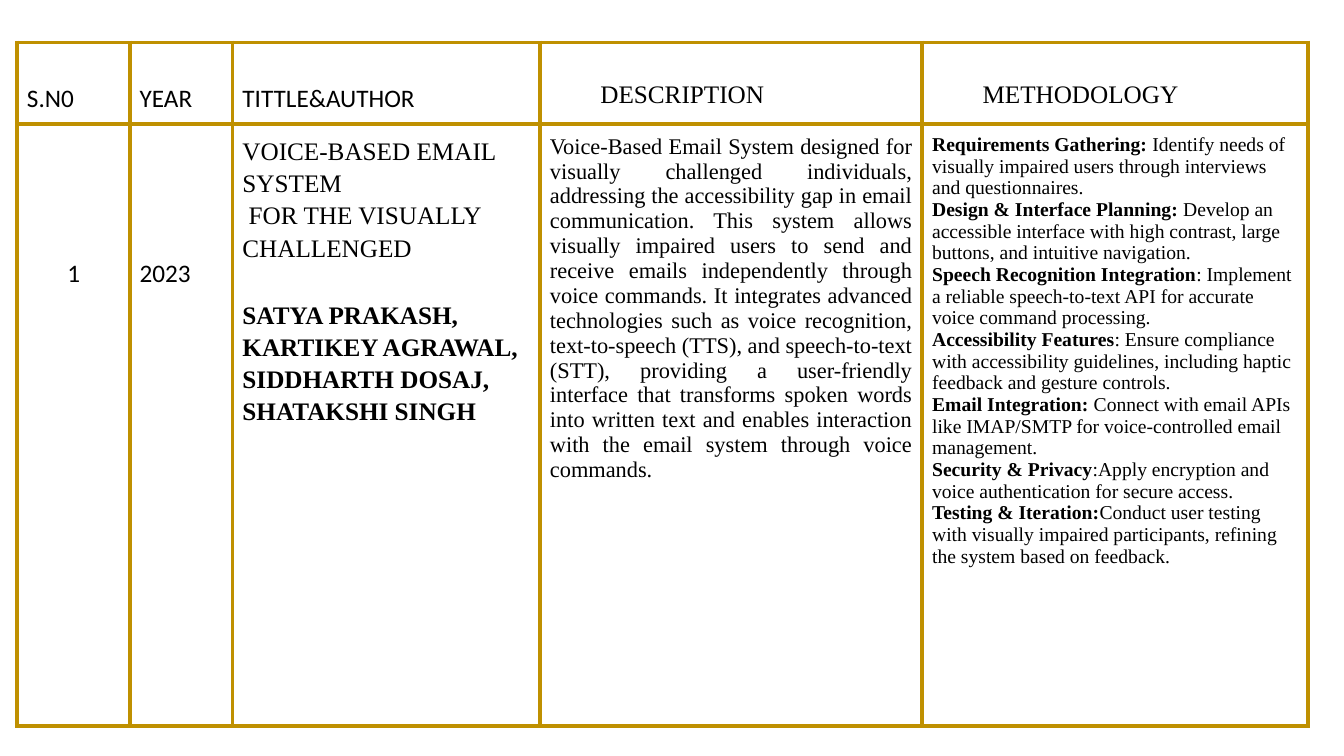
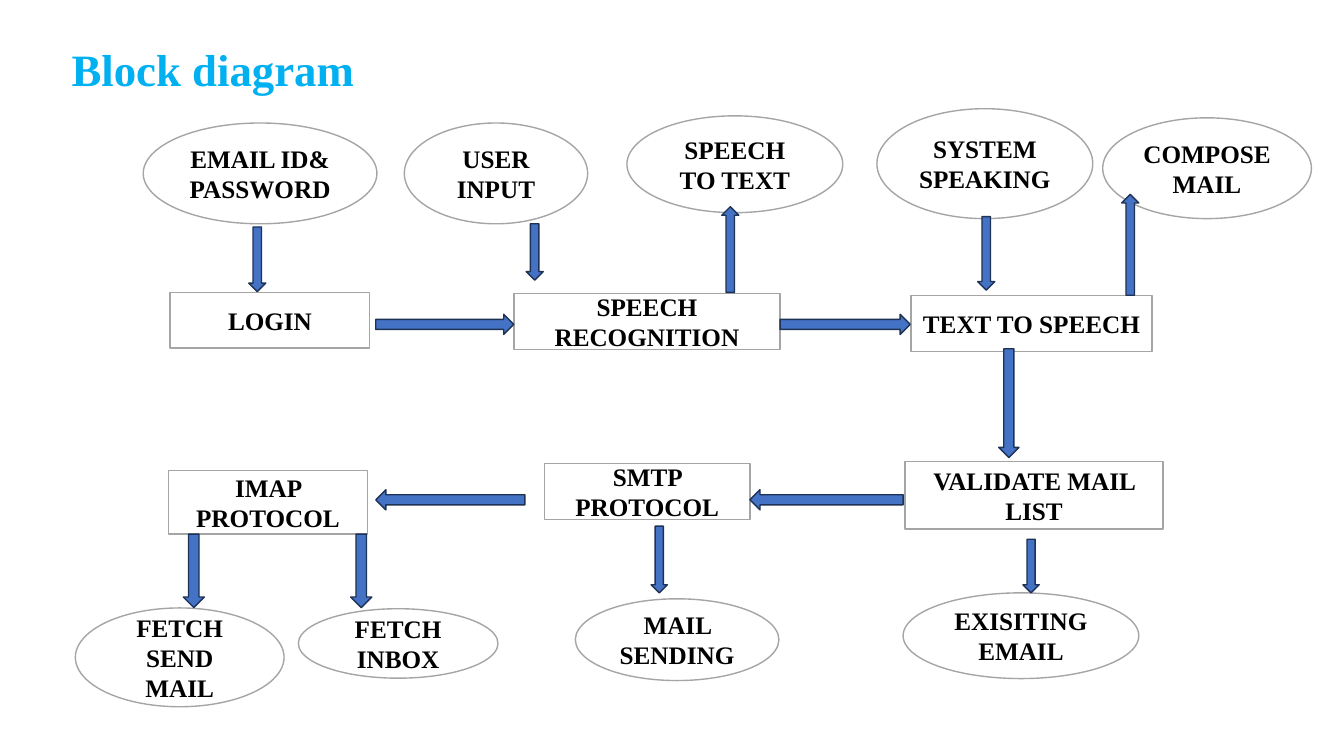
from lxml import etree
from pptx import Presentation
from pptx.dml.color import RGBColor
from pptx.enum.shapes import MSO_SHAPE
from pptx.enum.text import MSO_ANCHOR, PP_ALIGN
from pptx.oxml.ns import qn
from pptx.util import Cm, Pt

RECT, OVAL = MSO_SHAPE.RECTANGLE, MSO_SHAPE.OVAL
RIGHT, LEFT = MSO_SHAPE.RIGHT_ARROW, MSO_SHAPE.LEFT_ARROW
UP, DOWN = MSO_SHAPE.UP_ARROW, MSO_SHAPE.DOWN_ARROW
TOP, MIDDLE, BOTTOM = MSO_ANCHOR.TOP, MSO_ANCHOR.MIDDLE, MSO_ANCHOR.BOTTOM
SERIF, SANS = "Times New Roman", "Calibri"
COLORS = {
    "text": "000000", "title": "00B0F0", "paper": "FFFFFF", "border": "BF9000",
    "outline": "A5A5A5", "arrow": "4472C4", "arrow_edge": "1E3256",
}


def style(p, size, font=SERIF, color="text", bold=False, align=PP_ALIGN.LEFT):
    p.alignment = align
    p.font.size, p.font.name, p.font.bold = Pt(size), font, bold
    p.font.color.rgb = RGBColor.from_string(COLORS[color])


def add_block(s, kind, box, fill, line):
    sp = s.shapes.add_shape(kind, *[Cm(v) for v in box])
    sp.shadow.inherit = False
    sp.fill.solid()
    sp.fill.fore_color.rgb = RGBColor.from_string(COLORS[fill])
    sp.line.color.rgb = RGBColor.from_string(COLORS[line])
    sp.line.width = Pt(1)
    return sp


prs = Presentation()
prs.slide_width, prs.slide_height = Cm(33.87), Cm(19.05)

s = prs.slides.add_slide(prs.slide_layouts[6])
widths, heights = [2.84, 2.59, 7.75, 9.63, 9.73], [2.06, 15.16]
table = s.shapes.add_table(2, 5, Cm(0.43), Cm(1.07), Cm(sum(widths)), Cm(sum(heights))).table
table.first_row = table.horz_banding = False
for column, width in zip(table.columns, widths):
    column.width = Cm(width)
for row, height in zip(table.rows, heights):
    row.height = Cm(height)

for cell in table.iter_cells():
    cell.margin_left = cell.margin_right = cell.margin_top = cell.margin_bottom = Cm(0.25)
    tcPr = cell._tc.get_or_add_tcPr()
    for side in ("a:lnL", "a:lnR", "a:lnT", "a:lnB"):
        ln = etree.SubElement(tcPr, qn(side), w=str(Pt(3)))
        fill = etree.SubElement(ln, qn("a:solidFill"))
        etree.SubElement(fill, qn("a:srgbClr"), val=COLORS["border"])
    cell.fill.solid()
    cell.fill.fore_color.rgb = RGBColor.from_string(COLORS["paper"])

headers = [
    ("S.N0", SANS, 0.25, 0.25), ("YEAR", SANS, 0.25, 0.25), ("TITTLE&AUTHOR", SANS, 0.25, 0.25),
    ("DESCRIPTION", SERIF, 1.52, 0.38), ("METHODOLOGY", SERIF, 1.52, 0.38),
]
for i, (text, font, left, bottom) in enumerate(headers):
    cell = table.cell(0, i)
    cell.text = text
    cell.vertical_anchor = BOTTOM
    cell.margin_left, cell.margin_bottom = Cm(left), Cm(bottom)
    style(cell.text_frame.paragraphs[0], 18, font)

for i, (text, left) in enumerate([("1", 1.27), ("2023", 0.25)]):
    cell = table.cell(1, i)
    cell.text = text
    cell.margin_left, cell.margin_top = Cm(left), Cm(3.38)
    style(cell.text_frame.paragraphs[0], 18, SANS)

paper = ["VOICE-BASED EMAIL SYSTEM", " FOR THE VISUALLY CHALLENGED"]
authors = ["SATYA PRAKASH,", "KARTIKEY AGRAWAL,", "SIDDHARTH DOSAJ,", "SHATAKSHI SINGH"]
tf = table.cell(1, 2).text_frame
tf.text = "\n".join(paper + authors)
for i, p in enumerate(tf.paragraphs):
    style(p, 18, bold=i >= len(paper))
    p.line_spacing = 1.15
tf.paragraphs[len(paper)].space_before = Pt(25)

tf = table.cell(1, 3).text_frame
tf.text = (
    "Voice-Based Email System designed for visually challenged individuals, addressing the "
    "accessibility gap in email communication. This system allows visually impaired users to send "
    "and receive emails independently through voice commands. It integrates advanced technologies "
    "such as voice recognition, text-to-speech (TTS), and speech-to-text (STT), providing a "
    "user-friendly interface that transforms spoken words into written text and enables "
    "interaction with the email system through voice commands."
)
style(tf.paragraphs[0], 16, align=PP_ALIGN.JUSTIFY)

steps = [
    ("Requirements Gathering: ",
     "Identify needs of visually impaired users through interviews and questionnaires."),
    ("Design & Interface Planning: ",
     "Develop an accessible interface with high contrast, large buttons, and intuitive navigation."),
    ("Speech Recognition Integration",
     ": Implement a reliable speech-to-text API for accurate voice command processing."),
    ("Accessibility Features",
     ": Ensure compliance with accessibility guidelines, including haptic feedback and gesture controls."),
    ("Email Integration: ",
     "Connect with email APIs like IMAP/SMTP for voice-controlled email management."),
    ("Security & Privacy", ":Apply encryption and voice authentication for secure access."),
    ("Testing & Iteration:",
     "Conduct user testing with visually impaired participants, refining the system based on feedback."),
]
tf = table.cell(1, 4).text_frame
for i, (name, detail) in enumerate(steps):
    p = tf.add_paragraph() if i else tf.paragraphs[0]
    style(p, 14)
    r = p.add_run()
    r.text = name
    r.font.bold = True
    p.add_run().text = detail

s = prs.slides.add_slide(prs.slide_layouts[5])
title = s.shapes.title
title.left, title.top, title.width, title.height = Cm(1.55), Cm(0.91), Cm(16.94), Cm(1.63)
title.text = "Block diagram"
title.text_frame.vertical_anchor = MIDDLE
style(title.text_frame.paragraphs[0], 32, color="title", bold=True)

blocks = [
    (RECT, "LOGIN", 4.29, 7.37, 5.03, 1.4),
    (RECT, "SPEECH RECOGNITION", 12.95, 7.39, 6.71, 1.42),
    (RECT, "TEXT TO SPEECH", 22.96, 7.44, 6.07, 1.42),
    (RECT, "IMAP PROTOCOL", 4.24, 11.86, 5.03, 1.6),
    (RECT, "SMTP PROTOCOL", 13.72, 11.68, 5.18, 1.42),
    (RECT, "VALIDATE MAIL LIST", 22.81, 11.63, 6.5, 1.7),
    (OVAL, "EMAIL ID&\nPASSWORD", 3.61, 3.1, 5.89, 2.54),
    (OVAL, "USER INPUT", 10.19, 3.1, 4.62, 2.54),
    (OVAL, "SPEECH TO TEXT", 15.8, 2.92, 5.44, 2.44),
    (OVAL, "SYSTEM\nSPEAKING", 22.1, 2.74, 5.44, 2.77),
    (OVAL, "COMPOSE MAIL", 27.79, 2.97, 5.26, 2.54),
    (OVAL, "FETCH SEND MAIL", 1.9, 15.32, 5.26, 2.49),
    (OVAL, "FETCH INBOX", 7.52, 15.34, 5.03, 1.75),
    (OVAL, "MAIL SENDING", 14.5, 15.09, 5.13, 2.06),
    (OVAL, "EXISITING\nEMAIL", 22.76, 14.94, 5.94, 2.16),
]
for kind, text, *box in blocks:
    tf = add_block(s, kind, box, "paper", "outline").text_frame
    tf.text = text
    tf.word_wrap = True
    tf.vertical_anchor = MIDDLE
    for p in tf.paragraphs:
        style(p, 18, bold=True, align=PP_ALIGN.CENTER)

arrows = [
    (RIGHT, 9.47, 7.92, 3.48, 0.51),
    (RIGHT, 19.66, 7.92, 3.28, 0.51),
    (DOWN, 25.17, 8.79, 0.51, 2.74),
    (LEFT, 18.9, 12.34, 3.86, 0.51),
    (LEFT, 9.47, 12.34, 3.76, 0.51),
    (DOWN, 6.27, 5.72, 0.43, 1.63),
    (DOWN, 13.26, 5.64, 0.43, 1.42),
    (UP, 18.19, 5.21, 0.43, 2.16),
    (DOWN, 24.64, 5.46, 0.43, 1.85),
    (UP, 28.27, 4.9, 0.43, 2.54),
    (DOWN, 4.62, 13.46, 0.53, 1.85),
    (DOWN, 8.84, 13.46, 0.53, 1.85),
    (DOWN, 16.41, 13.26, 0.41, 1.68),
    (DOWN, 25.78, 13.59, 0.41, 1.35),
]
for kind, *box in arrows:
    add_block(s, kind, box, "arrow", "arrow_edge")

prs.save("out.pptx")
